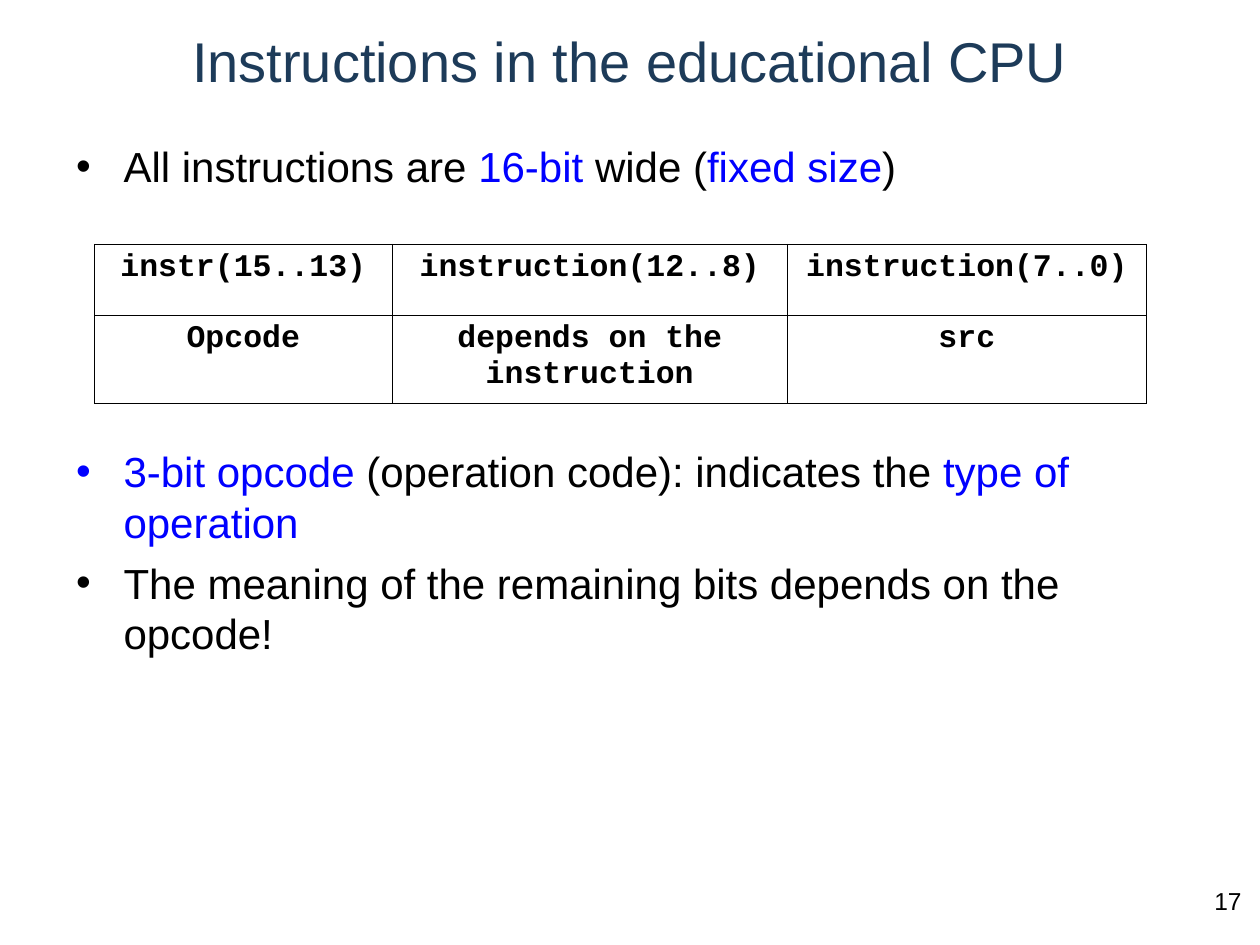
from pptx import Presentation
from pptx.dml.color import RGBColor
from pptx.enum.text import MSO_ANCHOR as Anchor, PP_ALIGN as Align
from pptx.oxml import parse_xml
from pptx.oxml.ns import nsdecls
from pptx.util import Pt

BLACK, BLUE, NAVY = "000000", "0000FF", "1D3B59"
TITLE = {"size": Pt(32), "name": "Arial"}
BODY = {"size": Pt(24), "name": "Arial"}
NUMBER = {"size": Pt(14), "name": "Arial"}
CODE = {"size": Pt(18), "name": "Courier New", "bold": True}

BULLETS = [
    (6, [("All instructions are ", BLACK), ("16-bit", BLUE), (" wide (", BLACK),
         ("fixed size", BLUE), (")", BLACK)]),
    # The wide gap leaves room for the table.
    (145.5, [("3-bit opcode", BLUE), (" (operation code): indicates the ", BLACK),
             ("type of operation", BLUE)]),
    (6, [("The meaning of the remaining bits depends on the opcode!", BLACK)]),
]
FIELDS = [
    ("instr(15..13)", "instruction(12..8)", "instruction(7..0)"),
    ("Opcode", "depends on the instruction", "src"),
]
COLUMN_WIDTHS = (170, 226, 205)
ROW_HEIGHTS = (40.5, 50.5)


def color(value):
    return RGBColor.from_string(value)


def add_span(para, text, font_format, value):
    span = para.add_run()
    span.text = text
    for key, setting in font_format.items():
        setattr(span.font, key, setting)
    span.font.color.rgb = color(value)


def add_frame(page, box, anchor=Anchor.TOP):
    frame = page.shapes.add_textbox(*map(Pt, box)).text_frame
    frame.word_wrap = True
    frame.vertical_anchor = anchor
    return frame


def add_centered_text(page, box, text, font_format, value, anchor=Anchor.TOP):
    para = add_frame(page, box, anchor).paragraphs[0]
    para.alignment = Align.CENTER
    add_span(para, text, font_format, value)


def set_bullet(para, value):
    """Give the paragraph a hanging round bullet in the given colour."""
    properties = para._p.get_or_add_pPr()
    properties.set("marL", str(Pt(27)))
    properties.set("indent", str(-Pt(27)))
    for content in (f'<a:buClr {nsdecls("a")}><a:srgbClr val="{value}"/></a:buClr>',
                    f'<a:buFont {nsdecls("a")} typeface="Arial"/>',
                    f'<a:buChar {nsdecls("a")} char="•"/>'):
        properties.append(parse_xml(content))


def add_bullets(page, box, bullets):
    frame = add_frame(page, box)
    for index, (gap, spans) in enumerate(bullets):
        para = frame.add_paragraph() if index else frame.paragraphs[0]
        para.space_before = Pt(gap)
        para.line_spacing = Pt(28.8)
        set_bullet(para, spans[0][1])
        for text, value in spans:
            add_span(para, text, BODY, value)


def set_borders(cell, value, width):
    properties = cell._tc.get_or_add_tcPr()
    for position, side in enumerate(("lnL", "lnR", "lnT", "lnB")):
        properties.insert(position, parse_xml(
            f'<a:{side} {nsdecls("a")} w="{Pt(width)}"><a:solidFill>'
            f'<a:srgbClr val="{value}"/></a:solidFill></a:{side}>'))


def add_field_table(page, left, top):
    size = (sum(COLUMN_WIDTHS), sum(ROW_HEIGHTS))
    table = page.shapes.add_table(len(FIELDS), len(FIELDS[0]),
                                  *map(Pt, (left, top, *size))).table
    table.first_row = table.horz_banding = False
    for column, width in zip(table.columns, COLUMN_WIDTHS):
        column.width = Pt(width)
    for row, height, texts in zip(table.rows, ROW_HEIGHTS, FIELDS):
        row.height = Pt(height)
        for cell, text in zip(row.cells, texts):
            cell.fill.background()
            set_borders(cell, BLACK, 0.45)
            para = cell.text_frame.paragraphs[0]
            para.alignment = Align.CENTER
            add_span(para, text, CODE, BLACK)


def main():
    deck = Presentation()
    deck.slide_width, deck.slide_height = Pt(720), Pt(540)
    page = deck.slides.add_slide(deck.slide_layouts[6])
    add_centered_text(page, (683.5, 502.5, 36.5, 37.5), "17", NUMBER, BLACK)
    add_centered_text(page, (42.5, 9.5, 635, 49.5),
                      "Instructions in the educational CPU", TITLE, NAVY, Anchor.MIDDLE)
    add_bullets(page, (36.5, 77, 648, 405), BULLETS)
    add_field_table(page, 54, 139.5)
    deck.save("out.pptx")


if __name__ == "__main__":
    main()
